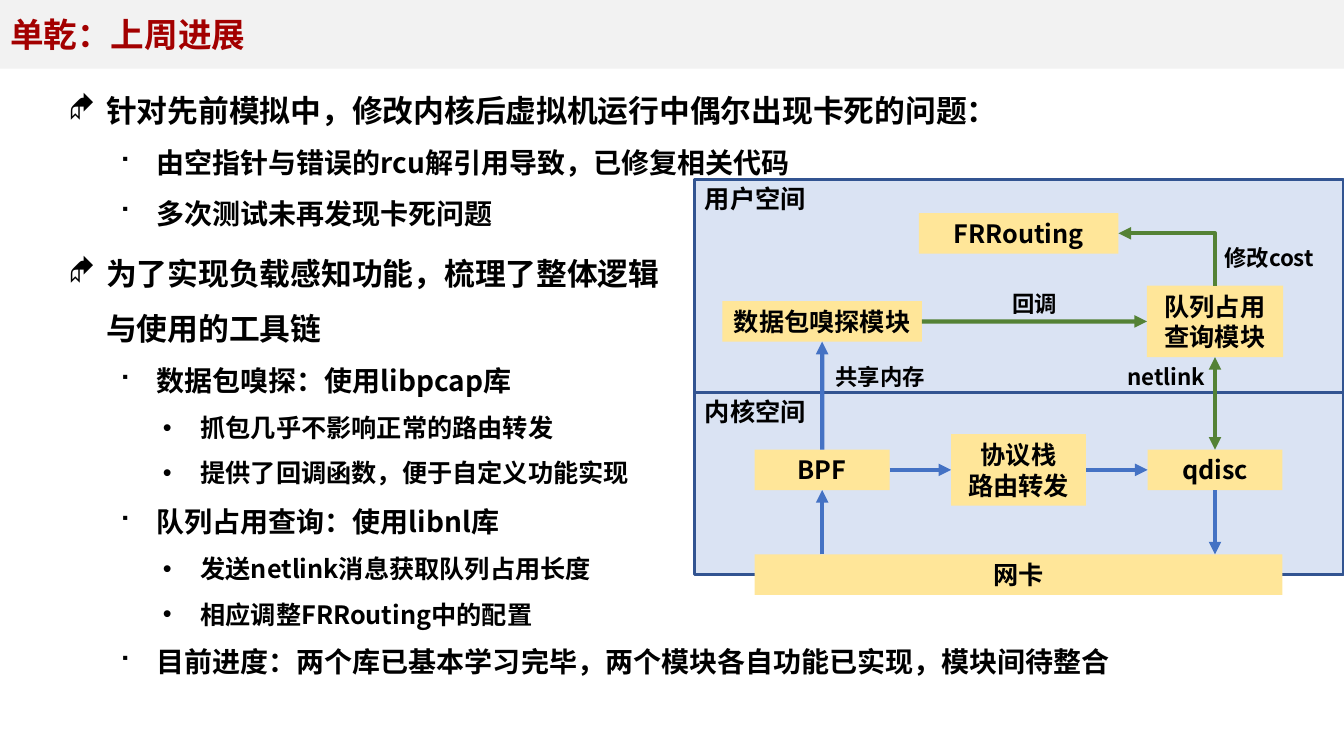
from lxml import etree
from pptx import Presentation
from pptx import util as u
from pptx.dml.color import RGBColor
from pptx.enum import shapes, text
from pptx.oxml.ns import qn

LEVELS = [
    (22, 0.95, "◆", "Wingdings"),
    (20, 2.22, "■", "Wingdings"),
    (18, 3.33, "•", "Arial"),
]
HANG = 0.95
LEFT, MID, RIGHT = [20.72 + 4.95 * i for i in range(3)]
TALL = 1.8
BLUE, GREEN = "4472C4", "548235"
TOP, WEST, BASE, EAST = range(4)


def paint(target, tone):
    if hasattr(target, "solid"):
        target.solid()
        target = target.fore_color
    target.rgb = RGBColor.from_string(tone)


class Deck:
    face = "Noto Sans CJK SC"
    ink = "000000"

    def __init__(self, slide):
        self.slide = slide

    def style(self, para, size, tone=ink):
        for run in para.runs:
            run.font.size = u.Pt(size)
            run.font.bold = True
            run.font.name = self.face
            paint(run.font.color, tone)
            east = etree.SubElement(run.font._element, qn("a:ea"))
            east.set("typeface", self.face)

    def place(self, shape, *spot):
        shape.left, shape.top, shape.width, shape.height = map(u.Cm, spot)

    def title(self, words):
        head = self.slide.shapes.title
        self.place(head, 0, 0, 33.87, 1.73)
        paint(head.fill, "F2F2F2")
        frame = head.text_frame
        frame.text = words
        frame.auto_size = text.MSO_AUTO_SIZE.NONE
        frame.vertical_anchor = text.MSO_ANCHOR.MIDDLE
        frame.paragraphs[0].alignment = text.PP_ALIGN.LEFT
        self.style(frame.paragraphs[0], 24, "A30000")

    def points(self, slot, spot, items):
        body = self.slide.placeholders[slot]
        self.place(body, *spot)
        frame = body.text_frame
        frame.text = "\n".join(words for _, words in items)
        frame.auto_size = text.MSO_AUTO_SIZE.NONE
        frame.vertical_anchor = text.MSO_ANCHOR.TOP
        for para, (level, _) in zip(frame.paragraphs, items):
            size, left, mark, font = LEVELS[level]
            para.level = level
            para.line_spacing = 1.5
            para.space_before = u.Pt(0)
            props = para._p.get_or_add_pPr()
            props.set("marL", str(u.Cm(left)))
            props.set("indent", str(-u.Cm(HANG)))
            etree.SubElement(props, qn("a:buFont")).set("typeface", font)
            etree.SubElement(props, qn("a:buChar")).set("char", mark)
            self.style(para, size)

    def letter(self, shape, words, size):
        frame = shape.text_frame
        frame.word_wrap = True
        frame.text = words
        for para in frame.paragraphs:
            para.alignment = text.PP_ALIGN.CENTER
            self.style(para, size)

    def rect(self, left, top, width, height, fill):
        shape = self.slide.shapes.add_shape(
            shapes.MSO_SHAPE.RECTANGLE, *map(u.Cm, (left, top, width, height)))
        shape.shadow.inherit = False
        paint(shape.fill, fill)
        return shape

    def panel(self, top, height):
        shape = self.rect(17.5, top, 16.37, height, "DAE3F3")
        paint(shape.line.fill, "325491")
        shape.line.width = u.Pt(2.25)

    def box(self, words, mid, row, width=3.4, height=1.02):
        shape = self.rect(mid - width / 2, row - height / 2, width, height, "FFE699")
        shape.line.fill.background()
        self.letter(shape, words, 18)
        return shape

    def label(self, words, left, top, size=16):
        height = 1.02 if size == 18 else 0.94
        shape = self.slide.shapes.add_textbox(*map(u.Cm, (left, top, 3.07, height)))
        self.letter(shape, words, size)

    def arrow(self, start, end, tone, ends=("tailEnd",), bent=False):
        kind = shapes.MSO_CONNECTOR.ELBOW if bent else shapes.MSO_CONNECTOR.STRAIGHT
        line = self.slide.shapes.add_connector(kind, 0, 0, 0, 0)
        if isinstance(start[0], float):
            line.begin_x, line.begin_y = map(u.Cm, start)
        else:
            line.begin_connect(*start)
        if isinstance(end[0], float):
            line.end_x, line.end_y = map(u.Cm, end)
        else:
            line.end_connect(*end)
        paint(line.line.fill, tone)
        line.line.width = u.Pt(3)
        props = line._element.spPr
        if bent:
            props.find(qn("a:prstGeom")).set("prst", "bentConnector2")
        for tip in ends:
            etree.SubElement(props.find(qn("a:ln")), qn("a:" + tip)).set("type", "triangle")
        etree.SubElement(props, qn("a:effectLst"))


def main():
    show = Presentation()
    show.slide_width, show.slide_height = u.Cm(33.87), u.Cm(19.05)
    slide = show.slides.add_slide(show.slide_layouts[4])
    deck = Deck(slide)

    deck.title("单乾：上周进展")
    deck.points(1, (1.47, 1.73, 28.02, 4.09), [
        (0, "针对先前模拟中，修改内核后虚拟机运行中偶尔出现卡死的问题："),
        (1, "由空指针与错误的rcu解引用导致，已修复相关代码"),
        (1, "多次测试未再发现卡死问题"),
    ])
    deck.points(2, (1.47, 5.82, 16, 10.13), [
        (0, "为了实现负载感知功能，梳理了整体逻辑与使用的工具链"),
        (1, "数据包嗅探：使用libpcap库"),
        (2, "抓包几乎不影响正常的路由转发"),
        (2, "提供了回调函数，便于自定义功能实现"),
        (1, "队列占用查询：使用libnl库"),
        (2, "发送netlink消息获取队列占用长度"),
        (2, "相应调整FRRouting中的配置"),
    ])
    deck.points(3, (1.47, 15.7, 28.98, 1.4), [
        (1, "目前进度：两个库已基本学习完毕，两个模块各自功能已实现，模块间待整合"),
    ])
    spare = slide.placeholders[4]._element
    spare.getparent().remove(spare)

    deck.panel(4.52, 5.38)
    deck.panel(9.9, 4.57)
    deck.label("用户空间", 17.5, 4.5, 18)
    deck.label("内核空间", 17.5, 9.86, 18)

    route = deck.box("FRRouting", MID, 5.88, 5.03)
    sniff = deck.box("数据包嗅探模块", LEFT, 8.1, 5.03)
    query = deck.box("队列占用查询模块", RIGHT, 8.1, 3.43, TALL)
    probe = deck.box("BPF", LEFT, 11.84)
    stack = deck.box("协议栈\n路由转发", MID, 11.84, height=TALL)
    queue = deck.box("qdisc", RIGHT, 11.84)
    deck.box("网卡", MID, 14.48, 13.3)

    deck.arrow((LEFT, 13.97), (probe, BASE), BLUE)
    deck.arrow((probe, EAST), (stack, WEST), BLUE)
    deck.arrow((stack, EAST), (queue, WEST), BLUE)
    deck.arrow((queue, BASE), (RIGHT, 13.97), BLUE)
    deck.arrow((probe, TOP), (sniff, BASE), BLUE)
    deck.arrow((sniff, EAST), (query, WEST), GREEN)
    deck.arrow((query, BASE), (queue, TOP), GREEN, ("headEnd", "tailEnd"))
    deck.arrow((route, EAST), (query, TOP), GREEN, ("headEnd",), bent=True)

    deck.label("共享内存", 20.65, 9.02)
    deck.label("netlink", 27.86, 9.02)
    deck.label("回调", 24.54, 7.19)
    deck.label("修改cost", 30.45, 6.02)
    show.save("out.pptx")


if __name__ == "__main__":
    main()
